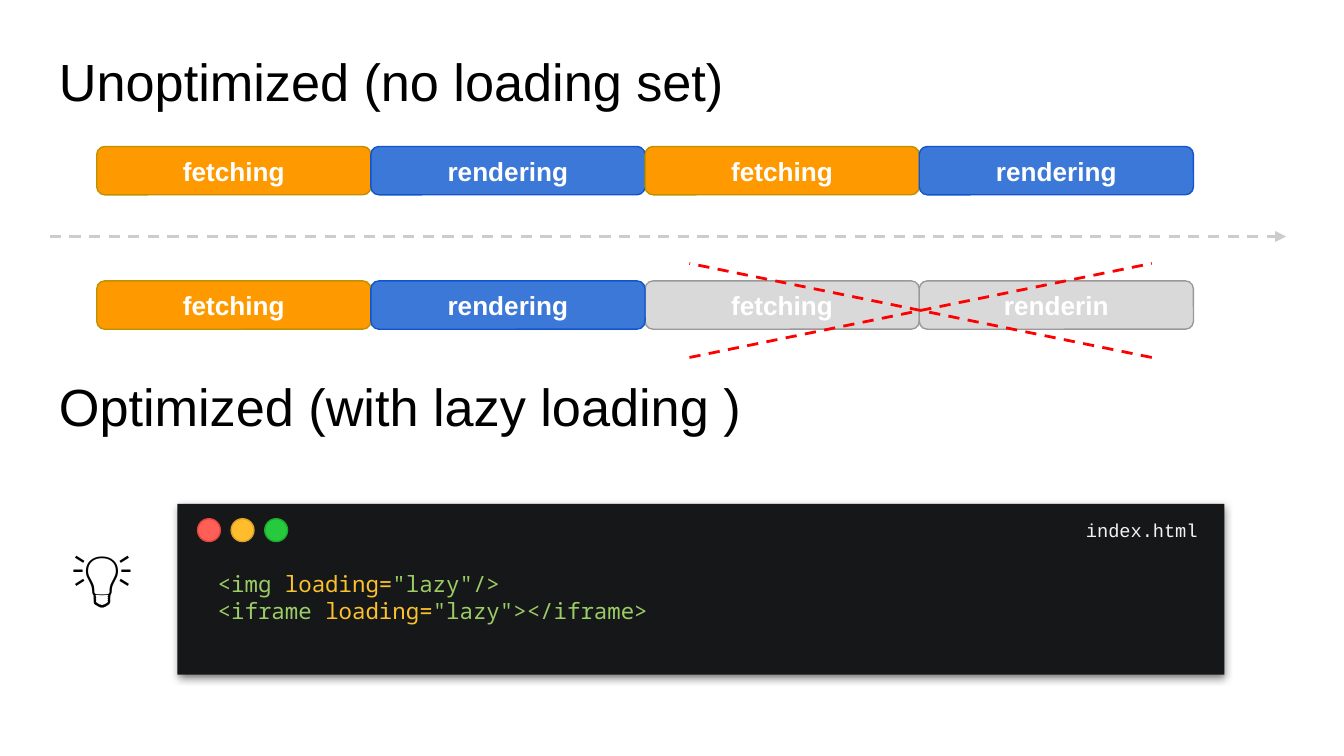
from lxml.etree import SubElement
from pptx import Presentation
from pptx.dml.color import RGBColor
from pptx.enum.dml import MSO_LINE_DASH_STYLE as Dash
from pptx.enum.shapes import MSO_CONNECTOR as Connector, MSO_SHAPE as Shape
from pptx.enum.text import MSO_ANCHOR as Anchor, PP_ALIGN as Align
from pptx.oxml.ns import qn
from pptx.util import Inches, Pt

BLACK = RGBColor(0x00, 0x00, 0x00)
WHITE = RGBColor(0xFF, 0xFF, 0xFF)
ORANGE, ORANGE_EDGE = RGBColor(0xFF, 0x99, 0x00), RGBColor(0xBF, 0x90, 0x00)
BLUE, BLUE_EDGE = RGBColor(0x3C, 0x78, 0xD8), RGBColor(0x11, 0x55, 0xCC)
GREY, GREY_EDGE = RGBColor(0xD9, 0xD9, 0xD9), RGBColor(0x99, 0x99, 0x99)
AXIS = RGBColor(0xCC, 0xCC, 0xCC)
RED = RGBColor(0xFF, 0x00, 0x00)
EDITOR = RGBColor(0x15, 0x17, 0x18)
FILE_NAME = RGBColor(0xF3, 0xF3, 0xF3)
TAG = RGBColor(0x9C, 0xCC, 0x65)
ATTRIBUTE = RGBColor(0xFB, 0xC0, 0x2D)
BUTTONS = [
    (RGBColor(0xFF, 0x5F, 0x56), RGBColor(0xE0, 0x44, 0x3E)),
    (RGBColor(0xFF, 0xBD, 0x2E), RGBColor(0xDE, 0xA1, 0x23)),
    (RGBColor(0x27, 0xC9, 0x3F), RGBColor(0x1A, 0xAB, 0x29)),
]

FETCHING = ("fetching", ORANGE, ORANGE_EDGE)
RENDERING = ("rendering", BLUE, BLUE_EDGE)
SKIPPED = [("fetching", GREY, GREY_EDGE), ("renderin", GREY, GREY_EDGE)]
CODE = [
    [(" <img ", TAG), ("loading=", ATTRIBUTE), ('"lazy"/>', TAG)],
    [(" <iframe ", TAG), ("loading=", ATTRIBUTE), ('"lazy"></iframe>', TAG)],
]

PAGE_WIDTH = 10
PAGE_HEIGHT = PAGE_WIDTH * 9 / 16
STEP_LEFT, STEP_WIDTH, STEP_HEIGHT = 0.72, 2.04, 0.36
EDITOR_LEFT, EDITOR_TOP, EDITOR_WIDTH = 1.32, 3.75, 7.79


def set_frame(box, insets=(0.1, 0.1, 0.1, 0.1), anchor=Anchor.TOP):
    frame = box.text_frame
    left, top, right, bottom = (Inches(inset) for inset in insets)
    settings = {
        "word_wrap": True, "vertical_anchor": anchor, "margin_left": left,
        "margin_top": top, "margin_right": right, "margin_bottom": bottom,
    }
    for name, value in settings.items():
        setattr(frame, name, value)
    return frame.paragraphs[0]


def add_span(para, text, size, color, font="Arial", bold=False):
    span = para.add_run()
    span.text = text
    for name, value in {"name": font, "size": Pt(size), "bold": bold}.items():
        setattr(span.font, name, value)
    span.font.color.rgb = color


def add_text(page, place, **frame_format):
    box = page.shapes.add_textbox(*(Inches(length) for length in place))
    return set_frame(box, **frame_format)


def add_block(page, kind, place, fill, edge=None):
    block = page.shapes.add_shape(kind, *(Inches(length) for length in place))
    block.shadow.inherit = False
    block.fill.solid()
    block.fill.fore_color.rgb = fill
    if edge is None:
        block.line.fill.background()
    else:
        block.line.color.rgb = edge
        block.line.width = Pt(0.75)
    return block


def add_dashed_line(page, start, end, color, arrow=False):
    line = page.shapes.add_connector(
        Connector.STRAIGHT, *(Inches(length) for length in start + end))
    line.line.color.rgb = color
    line.line.width = Pt(1.5)
    line.line.dash_style = Dash.DASH
    properties = line.element.spPr
    if arrow:
        SubElement(properties.find(qn("a:ln")), qn("a:tailEnd"), type="triangle")
    SubElement(properties, qn("a:effectLst"))


def add_steps(page, top, steps, first=0):
    """Draw adjoining steps of the timeline, beginning at the slot first."""
    for slot, (label, fill, edge) in enumerate(steps, first):
        place = (STEP_LEFT + slot * STEP_WIDTH, top, STEP_WIDTH, STEP_HEIGHT)
        step = add_block(page, Shape.ROUNDED_RECTANGLE, place, fill, edge)
        para = set_frame(step, anchor=Anchor.MIDDLE)
        para.alignment = Align.CENTER
        add_span(para, label, 14, WHITE, bold=True)


def add_heading(page, top, text):
    para = add_text(page, (0.34, top, 9.32, 0.63))
    para.line_spacing = 0.9
    add_span(para, text, 28, BLACK)


def add_soft_shadow(block):
    effects = block.element.spPr.find(qn("a:effectLst"))
    shadow = SubElement(effects, qn("a:outerShdw"), blurRad=str(Pt(4.5)),
                        dist=str(Pt(1.5)), dir="5400000", algn="bl", rotWithShape="0")
    color = SubElement(shadow, qn("a:srgbClr"), val=str(BLACK))
    SubElement(color, qn("a:alpha"), val="50000")


def add_editor(page):
    window = add_block(page, Shape.RECTANGLE,
                       (EDITOR_LEFT, EDITOR_TOP, EDITOR_WIDTH, 1.27), EDITOR)
    add_soft_shadow(window)

    code = add_text(page, (EDITOR_LEFT, 4.14, EDITOR_WIDTH, 0.88),
                    insets=(0.2, 0.1, 0.2, 0.2))
    for number, row in enumerate(CODE):
        if number:
            code.add_line_break()
        for text, color in row:
            add_span(code, text, 12, color, "Noto Sans Mono")

    for number, (fill, edge) in enumerate(BUTTONS):
        add_block(page, Shape.OVAL, (1.47 + number * 0.25, 3.86, 0.17, 0.17), fill, edge)

    title = add_text(page, (2.22, EDITOR_TOP, 6.89, 0.39),
                     insets=(0.1, 0.1, 0.2, 0.1), anchor=Anchor.MIDDLE)
    title.alignment = Align.RIGHT
    add_span(title, "index.html", 10, FILE_NAME, "Courier New")


def add_tip_icon(page):
    para = add_text(page, (0.38, 3.91, 0.77, 0.74))
    para.alignment = Align.CENTER
    add_span(para, "💡", 32, BLACK)


def add_cross(page, left, top, right, bottom):
    add_dashed_line(page, (left, bottom), (right, top), RED)
    add_dashed_line(page, (right, bottom), (left, top), RED)


def main():
    deck = Presentation()
    deck.slide_width, deck.slide_height = Inches(PAGE_WIDTH), Inches(PAGE_HEIGHT)
    page = deck.slides.add_slide(deck.slide_layouts[6])

    add_steps(page, 2.09, SKIPPED, first=2)
    add_dashed_line(page, (0.37, 1.76), (9.57, 1.76), AXIS, arrow=True)
    add_steps(page, 1.09, [FETCHING, RENDERING] * 2)
    add_heading(page, 0.32, "Unoptimized (no loading set)")
    add_heading(page, 2.74, "Optimized (with lazy loading )")
    add_editor(page)
    add_tip_icon(page)
    add_steps(page, 2.09, [FETCHING, RENDERING])
    add_cross(page, 5.13, 1.96, 8.57, 2.66)

    deck.save("out.pptx")


if __name__ == "__main__":
    main()
